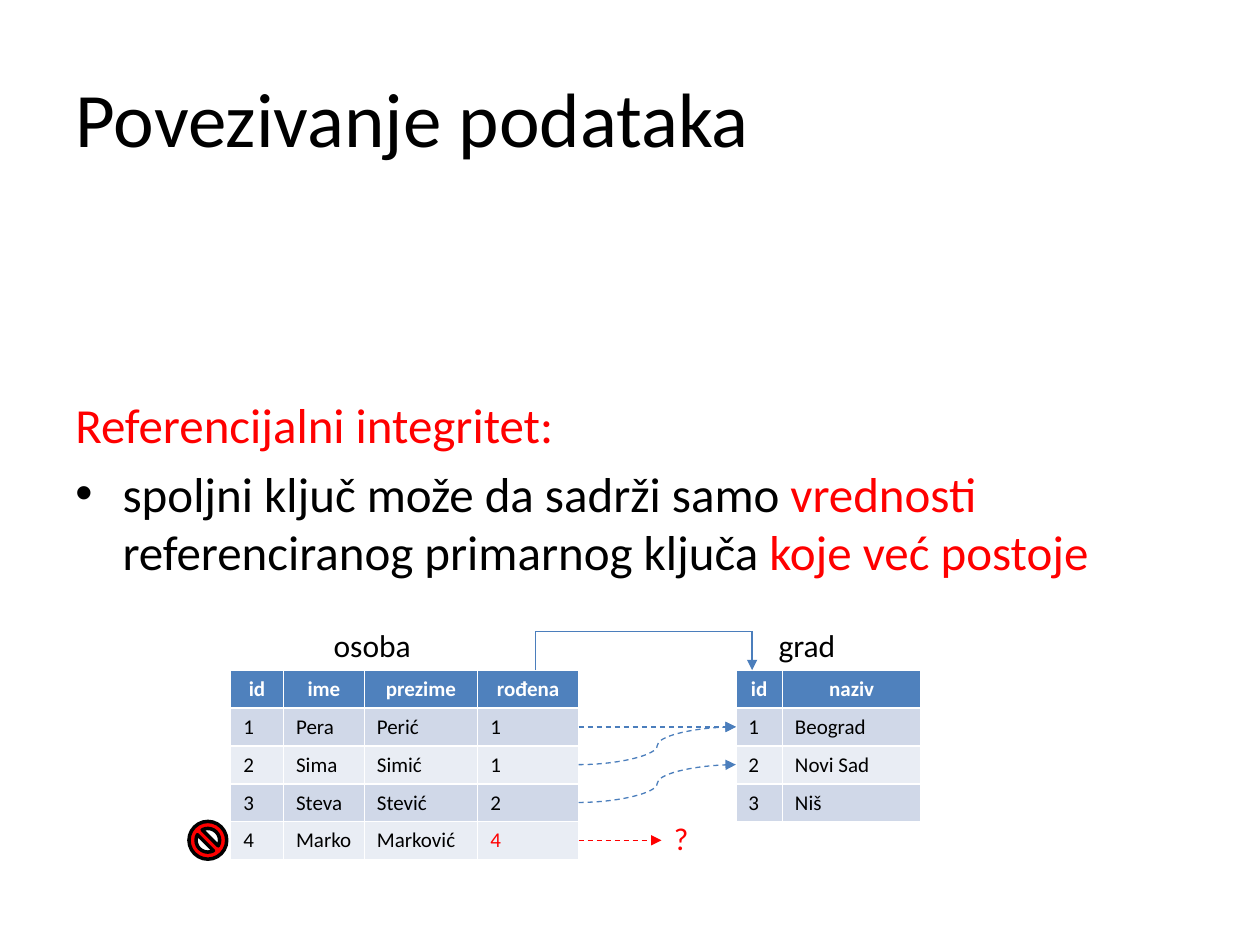
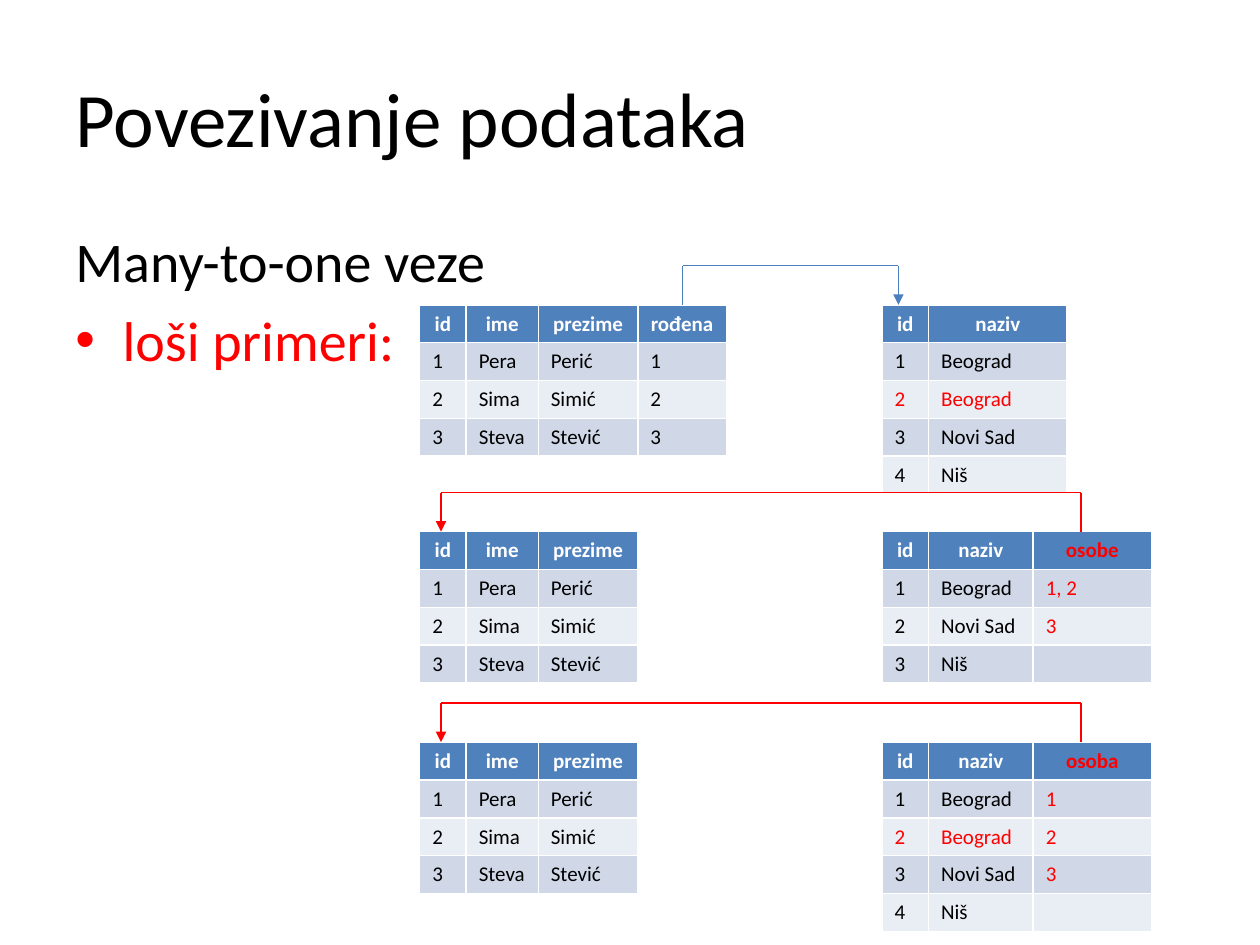
from dataclasses import dataclass
from itertools import pairwise

from lxml.etree import SubElement
from pptx import Presentation
from pptx.dml.color import RGBColor
from pptx.enum.dml import MSO_LINE
from pptx.enum.shapes import MSO_CONNECTOR as Connector, MSO_SHAPE as Shape
from pptx.enum.text import MSO_ANCHOR as Anchor, PP_ALIGN as Align
from pptx.oxml.ns import qn
from pptx.util import Pt


@dataclass(frozen=True)
class Theme:
    font: str = "Calibri"
    black: str = "000000"
    white: str = "FFFFFF"
    red: str = "FF0000"
    line: str = "4B7EBC"
    header: str = "4F81BD"
    bands: tuple = ("D0D8E8", "E9EDF4")
    title_size: int = 44
    lead_size: int = 32
    body_size: int = 28
    label_size: int = 18
    cell_size: int = 12
    line_width: float = 0.75
    row_height: float = 21.6
    bracket_rise: float = 22.3
    bullet_indent: int = 27


THEME = Theme()

ID_WIDTH = 26.6
PEOPLE = [("1", "Pera", "Perić"), ("2", "Sima", "Simić"), ("3", "Steva", "Stević")]
PEOPLE_HEADER = ("id", "ime", "prezime")
PEOPLE_WIDTHS = (ID_WIDTH, 41.2, 56.9)
CITIES = [("1", "Beograd"), ("2", "Novi Sad"), ("3", "Niš")]
REPEATED_CITIES = [("1", "Beograd"), ("2", "Beograd"), ("3", "Novi Sad"), ("4", "Niš")]
CITY_HEADER = ("id", "naziv")
CITY_WIDTHS = (ID_WIDTH, 79.2)
CITY_LIST_WIDTHS = (ID_WIDTH, 59.8, 67.7)


def with_column(rows, values):
    return [(*row, value) for row, value in zip(rows, values)]


class SlideBuilder:
    def __init__(self, presentation, theme):
        self.presentation = presentation
        self.theme = theme
        self.slide = None

    def new_slide(self, title):
        self.slide = self.presentation.slides.add_slide(self.presentation.slide_layouts[5])
        shape = self.slide.shapes.title
        shape.left, shape.top, shape.width, shape.height = Pt(36), Pt(21.6), Pt(648), Pt(90)
        shape.text_frame.vertical_anchor = Anchor.MIDDLE
        paragraph = shape.text_frame.paragraphs[0]
        paragraph.alignment = Align.LEFT
        self.run(paragraph, title, self.theme.title_size)

    def run(self, paragraph, text, size, color=None, bold=False):
        run = paragraph.add_run()
        run.text = text
        font = run.font
        font.name, font.size, font.bold = self.theme.font, Pt(size), bold
        font.color.rgb = RGBColor.from_string(color or self.theme.black)

    def body(self, top, height, size, heading, bullet):
        """Heading and one bullet, each a list of (text, colour) runs."""
        box = self.slide.shapes.add_textbox(Pt(36), Pt(top), Pt(648), Pt(height))
        frame = box.text_frame
        frame.word_wrap = True
        for paragraph, runs in ((frame.paragraphs[0], heading), (frame.add_paragraph(), bullet)):
            paragraph.space_before = Pt(size * 0.2)
            for text, color in runs:
                self.run(paragraph, text, size, color)
        properties = frame.paragraphs[1]._p.get_or_add_pPr()
        indent = Pt(self.theme.bullet_indent)
        properties.set("marL", str(indent))
        properties.set("indent", str(-indent))
        SubElement(properties, qn("a:buFont")).set("typeface", "Arial")
        SubElement(properties, qn("a:buChar")).set("char", "•")

    def label(self, left, top, width, text, color=None):
        box = self.slide.shapes.add_textbox(Pt(left), Pt(top), Pt(width), Pt(28.8))
        box.text_frame.word_wrap = False
        self.run(box.text_frame.paragraphs[0], text, self.theme.label_size, color)

    def table(self, left, top, widths, header, rows, red=()):
        """Table whose cells listed in red as (row, column) have red text; row 0 is the header."""
        theme = self.theme
        records = [header, *rows]
        frame = self.slide.shapes.add_table(
            len(records), len(widths), Pt(left), Pt(top),
            Pt(sum(widths)), Pt(theme.row_height * len(records)))
        table = frame.table
        for column, width in zip(table.columns, widths):
            column.width = Pt(width)
        for row_index, record in enumerate(records):
            table.rows[row_index].height = Pt(theme.row_height)
            is_header = row_index == 0
            fill = theme.header if is_header else theme.bands[(row_index - 1) % 2]
            for column_index, text in enumerate(record):
                cell = table.cell(row_index, column_index)
                cell.fill.solid()
                cell.fill.fore_color.rgb = RGBColor.from_string(fill)
                paragraph = cell.text_frame.paragraphs[0]
                paragraph.alignment = Align.CENTER if is_header else Align.LEFT
                color = theme.white if is_header else theme.black
                if (row_index, column_index) in red:
                    color = theme.red
                if text:
                    self.run(paragraph, text, theme.cell_size, color, is_header)
                else:
                    SubElement(paragraph._p, qn("a:endParaRPr")).set("sz", str(theme.cell_size * 100))

    def connector(self, kind, start, end, color, dashed=False, arrow=True):
        connector = self.slide.shapes.add_connector(kind, *map(Pt, (*start, *end)))
        connector.line.width = Pt(self.theme.line_width)
        connector.line.color.rgb = RGBColor.from_string(color)
        if dashed:
            connector.line.dash_style = MSO_LINE.DASH
        if arrow:
            SubElement(connector.line._get_or_add_ln(), qn("a:tailEnd")).set("type", "triangle")
        SubElement(connector._element.spPr, qn("a:effectLst"))

    def bracket(self, start_x, end_x, table_top, color):
        """Three lines up, across and down, from one table's top edge to another's."""
        high = table_top - self.theme.bracket_rise
        points = [(start_x, table_top), (start_x, high), (end_x, high), (end_x, table_top)]
        for start, end in pairwise(points):
            self.connector(Connector.STRAIGHT, start, end, color, arrow=end == points[-1])

    def curve(self, start, end, color):
        self.connector(Connector.CURVE, start, end, color, dashed=True)

    def forbidden_sign(self, left, top, size):
        shape = self.slide.shapes.add_shape(Shape.NO_SYMBOL, Pt(left), Pt(top), Pt(size), Pt(size))
        shape.shadow.inherit = False
        shape.fill.solid()
        shape.fill.fore_color.rgb = RGBColor.from_string(self.theme.red)
        shape.line.color.rgb = RGBColor.from_string(self.theme.black)
        shape.line.width = Pt(2)


def build_integrity_slide(builder):
    theme = builder.theme
    builder.new_slide("Povezivanje podataka")
    builder.body(
        221.8, 126, theme.body_size,
        [("Referencijalni integritet:", theme.red)],
        [("spoljni ključ može da sadrži samo ", theme.black), ("vrednosti ", theme.red),
         ("referenciranog primarnog ključa ", theme.black), ("koje već postoje", theme.red)])

    top, person_left, city_left = 383, 131.8, 420.5
    person_widths = (30.2, 46.2, 64.8, 57.6)
    people = with_column([*PEOPLE, ("4", "Marko", "Marković")], ("1", "1", "2", "4"))
    builder.table(person_left, top, person_widths, (*PEOPLE_HEADER, "rođena"), people, red={(4, 3)})
    builder.table(city_left, top, CITY_WIDTHS, CITY_HEADER, CITIES)
    builder.bracket(306, 429.8, top, theme.line)
    builder.label(183.6, 354.2, 59.8, "osoba")
    builder.label(437.8, 354.2, 48.2, "grad")

    def row_middle(row):
        return top + theme.row_height * (row + 0.5)

    person_right = person_left + sum(person_widths)
    for person_row, city_row in ((1, 1), (2, 1), (3, 2)):
        builder.curve((person_right, row_middle(person_row)),
                      (city_left, row_middle(city_row)), theme.line)
    builder.forbidden_sign(108, 469.4, 21.6)
    builder.curve((person_right, row_middle(4)), (378, row_middle(4)), theme.red)
    builder.label(378, 464.4, 24.5, "?", theme.red)


def build_bad_examples_slide(builder):
    theme = builder.theme
    builder.new_slide("Povezivanje podataka")
    builder.body(126, 91.4, theme.lead_size,
                 [("Many-to-one veze", theme.black)], [("loši primeri:", theme.red)])

    person_left, city_left = 239.8, 504
    top = 174.2
    builder.table(person_left, top, (*PEOPLE_WIDTHS, 50.6), (*PEOPLE_HEADER, "rođena"),
                  with_column(PEOPLE, "123"))
    builder.table(city_left, top, CITY_WIDTHS, CITY_HEADER, REPEATED_CITIES, red={(2, 0), (2, 1)})
    builder.bracket(390.2, 513.4, top, theme.line)

    red_column = {(row, 2) for row in range(4)}
    examples = (
        (303.8, "osobe", with_column(CITIES, ("1, 2", "3", "")), red_column),
        (424.1, "osoba", with_column(REPEATED_CITIES, ("1", "2", "3", "")),
         red_column | {(2, 0), (2, 1)}),
    )
    for top, column_name, cities, red in examples:
        builder.table(person_left, top, PEOPLE_WIDTHS, PEOPLE_HEADER, PEOPLE)
        builder.table(city_left, top, CITY_LIST_WIDTHS, (*CITY_HEADER, column_name), cities, red)
        builder.bracket(617.8, 252, top, theme.red)


def main():
    presentation = Presentation()
    presentation.slide_width, presentation.slide_height = Pt(720), Pt(540)
    builder = SlideBuilder(presentation, THEME)
    build_integrity_slide(builder)
    build_bad_examples_slide(builder)
    presentation.save("out.pptx")


if __name__ == "__main__":
    main()
